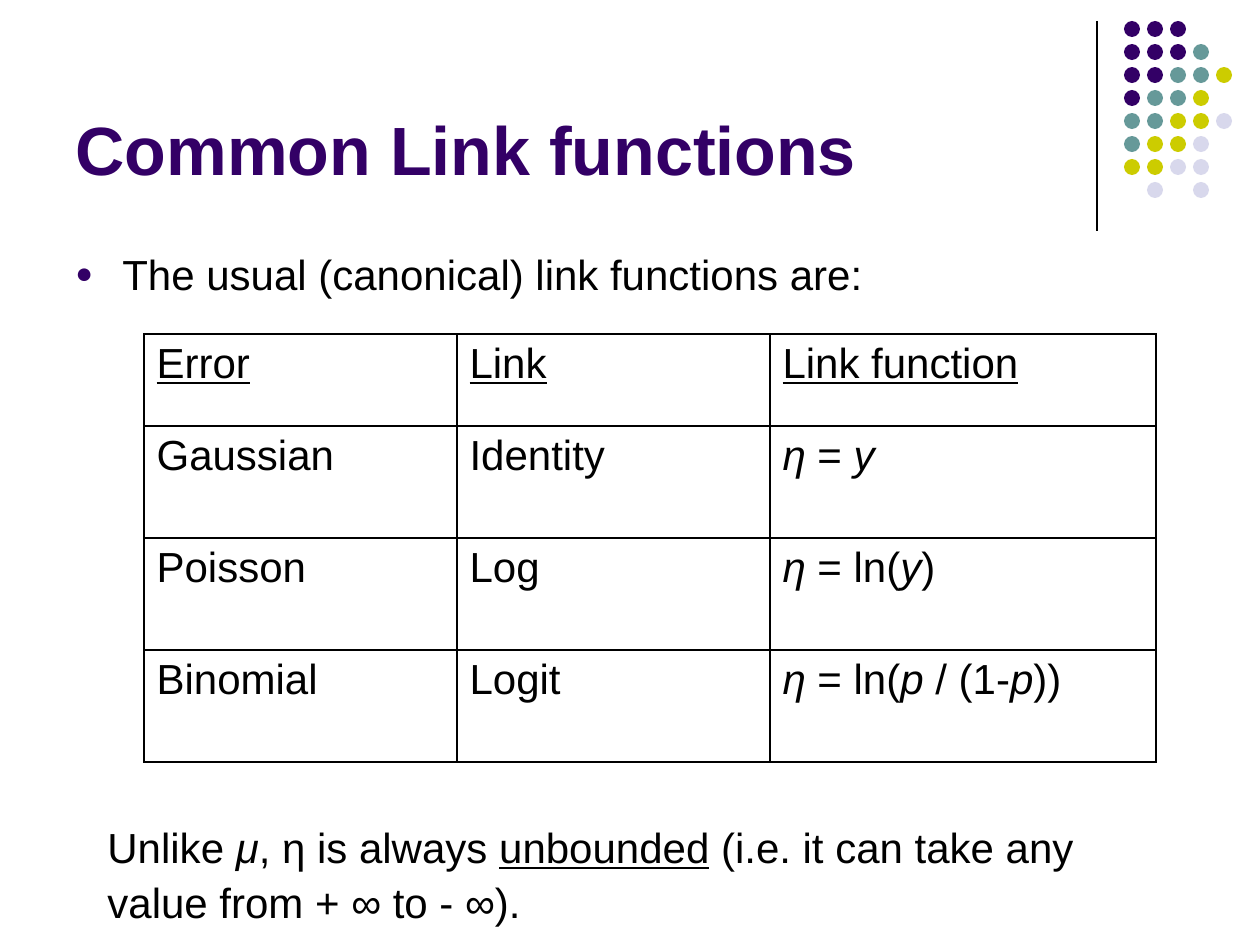
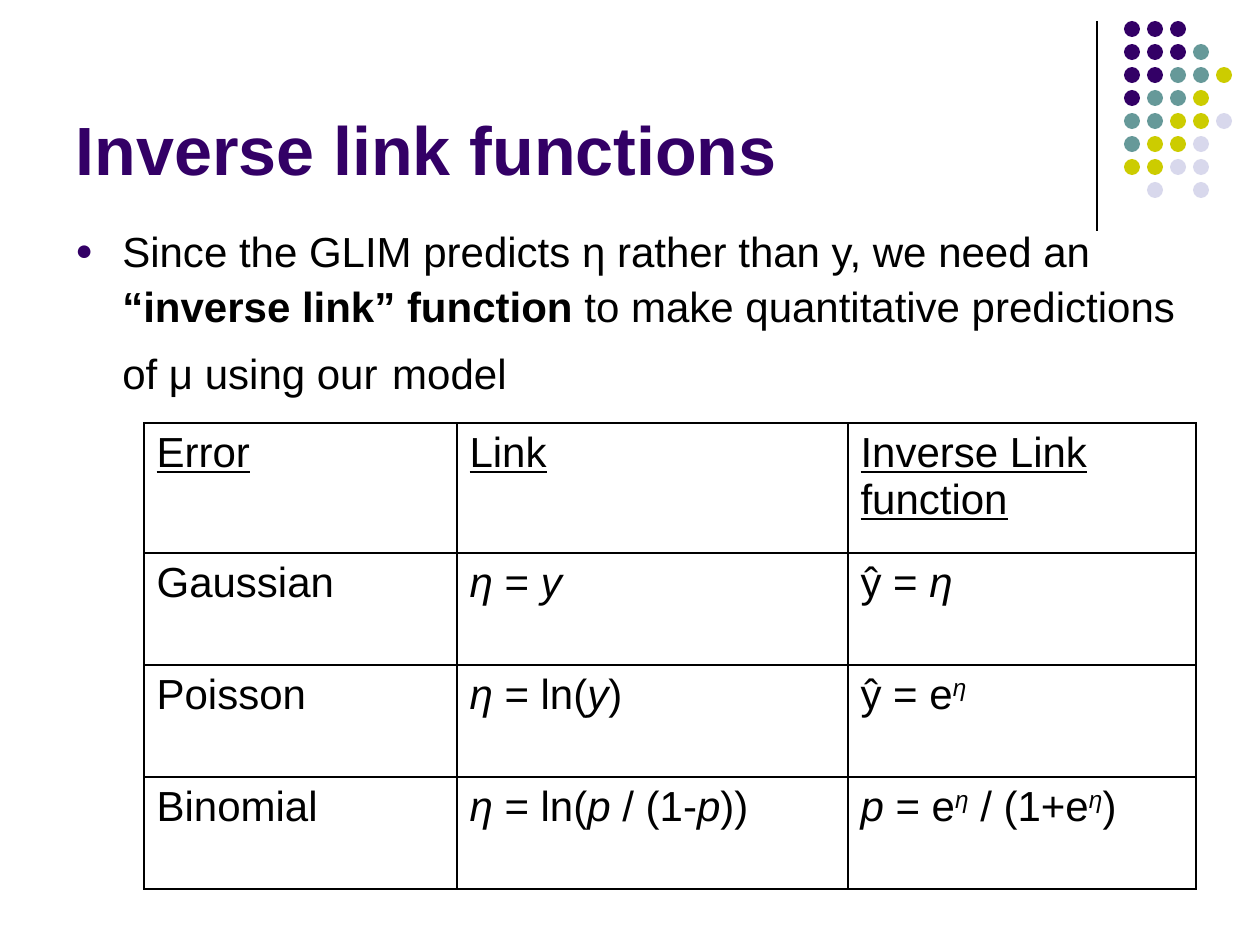
from lxml import etree
from pptx import Presentation, util as u
from pptx.dml.color import RGBColor
from pptx.enum import shapes, text
from pptx.oxml import ns

PX = u.Inches(1) / 126
FONT = "Arial"
BLACK, PURPLE, TEAL, LIME, LAVENDER = "000000", "330066", "669999", "CCCC00", "D8D8EC"
DOT_COLOURS = {"P": PURPLE, "T": TEAL, "Y": LIME, "L": LAVENDER}
DOT_ROWS = ["PPP", "PPPT", "PPTTY", "PTTY", "TTYYL", "TYYL", "YYLL", " L L"]
DOT_SIZE, DOT_PITCH = 16, 23
IDENTITY = [("η", "i"), " = ", ("y", "i")]
LOG = [("η", "i"), " = ln(", ("y", "i"), ")"]
LOGIT = [("η", "i"), " = ln(", ("p", "i"), " / (1-", ("p", "i"), "))"]
POWER = ("η", "i^")


def px(*lengths):
    """Turn pixel lengths into EMU."""
    return [u.Emu(round(length * PX)) for length in lengths]


def colour(value):
    """Turn a hex string into a colour."""
    return RGBColor.from_string(value)


def add_tag(parent, name, **attributes):
    """Append a drawing element to a parent element."""
    return etree.SubElement(parent, ns.qn("a:" + name), attributes)


def format_span(span, style="", size=24, ink=BLACK):
    """Format a run; style letters are b, i, u and ^ for superscript."""
    font = span.font
    font.name, font.size, font.color.rgb = FONT, u.Pt(size), colour(ink)
    font.bold, font.italic, font.underline = (letter in style for letter in "biu")
    if "^" in style:
        span._r.get_or_add_rPr().set("baseline", "30000")


def write(para, content):
    """Fill a paragraph from plain strings and (words, style, size) tuples."""
    for piece in [content] if isinstance(content, str) else content:
        words, *formats = (piece,) if isinstance(piece, str) else piece
        span = para.add_run()
        span.text = words
        format_span(span, *formats)


def add_dots(page):
    """Draw the vertical rule and the grid of dots in the top right corner."""
    rule = page.shapes.add_connector(shapes.MSO_CONNECTOR.STRAIGHT, *px(1097, 21, 1097, 231))
    rule.line.color.rgb, rule.line.width = colour(BLACK), u.Pt(0.75)
    add_tag(rule._element.spPr, "effectLst")
    group = page.shapes.add_group_shape()
    for row, letters in enumerate(DOT_ROWS):
        for column, letter in enumerate(letters):
            if letter in DOT_COLOURS:
                place = px(1124 + column * DOT_PITCH, 21 + row * DOT_PITCH, DOT_SIZE, DOT_SIZE)
                dot = group.shapes.add_shape(shapes.MSO_SHAPE.OVAL, *place)
                dot.shadow.inherit = False
                dot.fill.solid()
                dot.fill.fore_color.rgb = colour(DOT_COLOURS[letter])
                dot.line.fill.background()


def add_page(deck, heading):
    """Add a slide with the corner dots and a title."""
    page = deck.slides.add_slide(deck.slide_layouts[5])
    add_dots(page)
    title = page.shapes.title
    title.left, title.top, title.width, title.height = px(63, 16, 1040, 179)
    frame = title.text_frame
    frame.text = heading
    frame.auto_size = text.MSO_AUTO_SIZE.NONE
    frame.vertical_anchor = text.MSO_ANCHOR.BOTTOM
    para = frame.paragraphs[0]
    para.alignment = text.PP_ALIGN.LEFT
    format_span(para.runs[0], "b", 39, PURPLE)
    return page


def add_text(page, place, content, bullet=False):
    """Add a wrapped paragraph, with a bullet if wanted."""
    frame = page.shapes.add_textbox(*px(*place)).text_frame
    frame.word_wrap = True
    para = frame.paragraphs[0]
    para.line_spacing = 1.1
    if bullet:
        properties = para._p.get_or_add_pPr()
        indent = px(47)[0]
        properties.set("marL", str(indent))
        properties.set("indent", str(-indent))
        add_tag(add_tag(properties, "buClr"), "srgbClr", val=PURPLE)
        add_tag(properties, "buSzPct", val="70000")
        add_tag(properties, "buFont", typeface=FONT)
        add_tag(properties, "buChar", char="●")
    write(para, content)


def add_borders(cell):
    """Draw a thin black line on each side of a cell."""
    properties = cell._tc.get_or_add_tcPr()
    for side in "LRTB":
        line = add_tag(properties, "ln" + side, w=str(u.Pt(1)))
        add_tag(add_tag(line, "solidFill"), "srgbClr", val=BLACK)


def add_grid(page, left, top, widths, heights, rows):
    """Add an unfilled ruled table with an underlined heading row."""
    place = px(left, top, sum(widths), sum(heights))
    table = page.shapes.add_table(len(rows), len(widths), *place).table
    table.first_row = table.horz_banding = False
    for column, width in zip(table.columns, px(*widths)):
        column.width = width
    for row, height in zip(table.rows, px(*heights)):
        row.height = height
    for row, contents in enumerate(rows):
        for column, content in enumerate(contents):
            cell = table.cell(row, column)
            add_borders(cell)
            cell.fill.background()
            write(cell.text_frame.paragraphs[0], content if row else [(content, "u")])


def main():
    """Build both slides and save the deck."""
    deck = Presentation()
    deck.slide_width, deck.slide_height = px(1260, 945)

    page = add_page(deck, "Common Link functions")
    add_text(page, (63, 237, 1134, 607), "The usual (canonical) link functions are:", bullet=True)
    add_grid(page, 144, 334, [313, 313, 386], [92, 112, 112, 112], [
        ["Error", "Link", "Link function"],
        ["Gaussian", "Identity", IDENTITY],
        ["Poisson", "Log", LOG],
        ["Binomial", "Logit", LOGIT]])
    add_text(page, (95, 810, 1101, 115), [
        "Unlike ", ("μ", "i"), ", η is always ", ("unbounded", "u"),
        " (i.e. it can take any value from + ∞ to - ∞)."])

    page = add_page(deck, "Inverse link functions")
    add_text(page, (63, 214, 1134, 630), [
        "Since the GLIM predicts η rather than y, we need an ",
        ("“inverse link” function", "b"),
        " to make quantitative predictions of μ using our", (" ", "", 30), "model"], bullet=True)
    add_grid(page, 144, 423, [313, 391, 348], [130, 112, 112, 112], [
        ["Error", "Link", "Inverse Link function"],
        ["Gaussian", IDENTITY, ["ŷ = ", ("η", "i")]],
        ["Poisson", LOG, ["ŷ = e", POWER]],
        ["Binomial", LOGIT, [("p", "i"), " = e", POWER, " / (1+e", POWER, ")"]]])

    deck.save("out.pptx")


if __name__ == "__main__":
    main()
